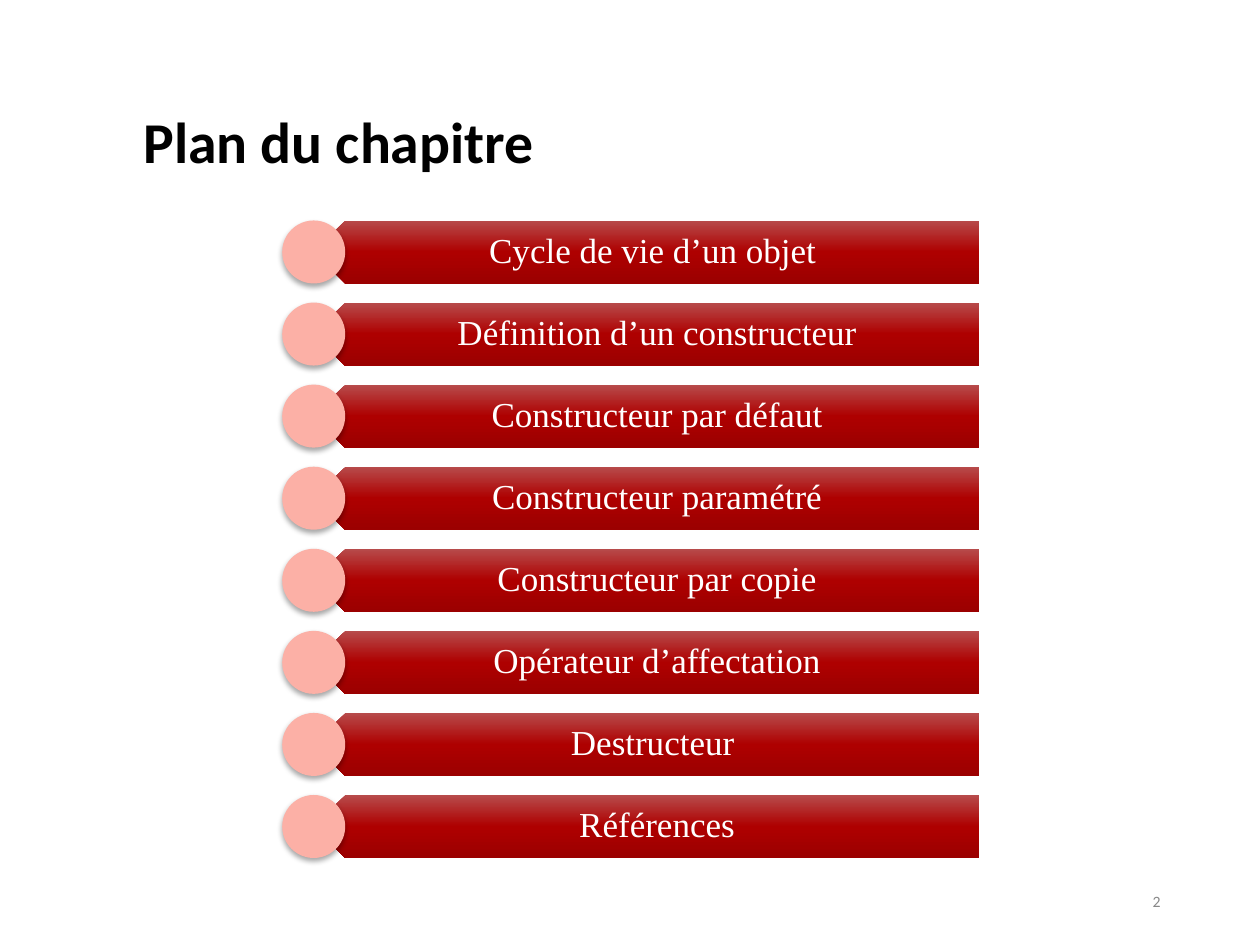
from copy import deepcopy

from lxml import etree
from pptx import Presentation
from pptx.dml.color import RGBColor
from pptx.enum.shapes import MSO_SHAPE
from pptx.enum.text import MSO_ANCHOR, PP_ALIGN
from pptx.oxml import parse_xml
from pptx.util import Inches, Pt

PENTAGON = MSO_SHAPE.PENTAGON
OVAL = MSO_SHAPE.OVAL
TOP, MIDDLE = MSO_ANCHOR.TOP, MSO_ANCHOR.MIDDLE
LEFT, CENTER, RIGHT = PP_ALIGN.LEFT, PP_ALIGN.CENTER, PP_ALIGN.RIGHT

COLORS = {
    "bar_top": "B74B4B",
    "bar_middle": "AE0000",
    "bar_bottom": "9B0000",
    "bullet": "FCB0A6",
    "label": "FFFFFF",
    "title": "000000",
    "number": "888888",
}
TOPICS = [
    "Cycle de vie d’un objet ",
    "Définition d’un constructeur",
    "Constructeur par défaut",
    "Constructeur paramétré",
    "Constructeur par copie",
    "Opérateur d’affectation",
    "Destructeur ",
    "Références",
]
FIRST_TOP, LAST_TOP = 1.75, 6.31
PITCH = (LAST_TOP - FIRST_TOP) / (len(TOPICS) - 1)
BAR_HEIGHT = 0.5
SHADOW = parse_xml(
    '<a:effectLst xmlns:a="http://schemas.openxmlformats.org/drawingml/2006/main">'
    '<a:outerShdw blurRad="40000" dist="23000" dir="5400000" rotWithShape="0">'
    '<a:srgbClr val="000000"><a:alpha val="35000"/></a:srgbClr>'
    "</a:outerShdw></a:effectLst>"
)


def add_text(page, area, text, font, size, color, align, anchor, insets, bold=False):
    box = page.shapes.add_textbox(*[Inches(value) for value in area])
    frame = box.text_frame
    frame.word_wrap = True
    frame.vertical_anchor = anchor
    frame.margin_left, frame.margin_top, frame.margin_right, frame.margin_bottom = [
        Inches(value) for value in insets
    ]
    para = frame.paragraphs[0]
    para.alignment = align
    span = para.add_run()
    span.text = text
    span.font.name = font
    span.font.size = Pt(size)
    span.font.bold = bold
    span.font.color.rgb = RGBColor.from_string(COLORS[color])
    return para


def add_plain_shape(page, kind, left, top, width):
    shape = page.shapes.add_shape(
        kind, Inches(left), Inches(top), Inches(width), Inches(BAR_HEIGHT)
    )
    shape.shadow.inherit = False
    shape.line.fill.background()
    return shape


deck = Presentation()
deck.slide_width = Inches(10)
deck.slide_height = Inches(7.5)
page = deck.slides.add_slide(deck.slide_layouts[6])

add_text(page, (7.06, 6.95, 2.25, 0.4), "2", "Calibri", 9, "number",
         RIGHT, MIDDLE, (0.1, 0.05, 0.1, 0.05))

for index, topic in enumerate(TOPICS):
    top = FIRST_TOP + index * PITCH

    bar = add_plain_shape(page, PENTAGON, 2.49, top, 5.28)
    bar.rotation = 180
    bar.fill.gradient()
    bar.fill.gradient_angle = 90
    stop_list = bar.element.spPr.find(".//{*}gsLst")
    stop_list.append(deepcopy(stop_list[-1]))
    for step, name in enumerate(("bar_top", "bar_middle", "bar_bottom")):
        stop = bar.fill.gradient_stops[step]
        stop.position = step / 2
        stop.color.rgb = RGBColor.from_string(COLORS[name])

    label = add_text(page, (2.61, top, 5.15, BAR_HEIGHT), topic, "Times New Roman", 20,
                     "label", CENTER, MIDDLE, (0.22, 0.08, 0.16, 0.08))
    label.line_spacing = 0.9

    bullet = add_plain_shape(page, OVAL, 2.24, top, 0.5)
    bullet.fill.solid()
    bullet.fill.fore_color.rgb = RGBColor.from_string(COLORS["bullet"])
    properties = bullet.element.spPr
    properties.replace(properties.find("{*}effectLst"), deepcopy(SHADOW))

add_text(page, (1.14, 0.84, 8.26, 0.77), "Plan du chapitre", "Calibri", 33, "title",
         LEFT, TOP, (0, 0, 0, 0), bold=True)

deck.save("out.pptx")
